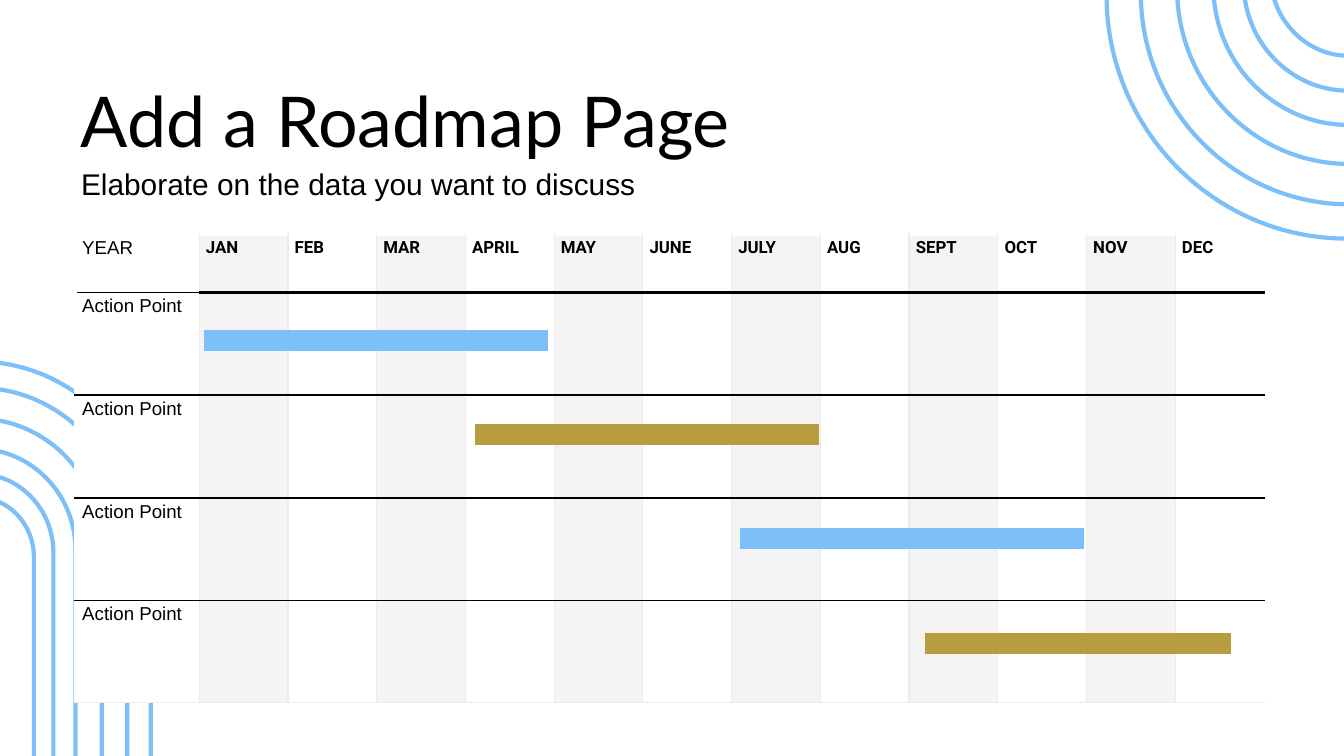
import lxml.etree
import pptx
import pptx.dml.color
import pptx.enum.shapes
import pptx.enum.text
import pptx.oxml.ns
import pptx.util

Pt = pptx.util.Pt
qn = pptx.oxml.ns.qn
BLACK = pptx.dml.color.RGBColor(0x00, 0x00, 0x00)
WHITE = pptx.dml.color.RGBColor(0xFF, 0xFF, 0xFF)
BLUE = pptx.dml.color.RGBColor(0x7D, 0xBF, 0xF8)
GOLD = pptx.dml.color.RGBColor(0xB8, 0x9D, 0x40)
BAND_GREY = pptx.dml.color.RGBColor(0xF4, 0xF4, 0xF4)
GRID_GREY = pptx.dml.color.RGBColor(0xED, 0xEC, 0xED)


def write_text(frame, text, font="Arial", size=20, bold=False, spacing=None):
    para = frame.paragraphs[0]
    if spacing:
        para.line_spacing = spacing
    span = para.add_run()
    span.text = text
    span.font.name = font
    span.font.size = Pt(size)
    span.font.bold = bold
    span.font.color.rgb = BLACK


def add_arch(left, top, width, height, rotation):
    """Draw a straight-sided outline with a round lower end, then turn it."""
    right, bottom, middle = left + width, top + height, left + width / 2
    round_height = width / 2 + 3.4
    shoulder = bottom - round_height
    pull_x, pull_y = 0.55 * width / 2, 0.55 * round_height
    points = [
        (right, top), (right, shoulder),
        (right, shoulder + pull_y), (middle + pull_x, bottom), (middle, bottom),
        (middle - pull_x, bottom), (left, shoulder + pull_y), (left, shoulder),
    ]
    builder = slide.shapes.build_freeform(Pt(left), Pt(top))
    builder.add_line_segments([(Pt(x), Pt(y)) for x, y in points], close=True)
    arch = builder.convert_to_shape()

    # Join the last six points into two quarter-round curves
    segments = list(arch._element.iter(qn("a:lnTo")))[2:8]
    for first in (0, 3):
        curve = lxml.etree.Element(qn("a:cubicBezTo"))
        segments[first].addprevious(curve)
        for segment in segments[first:first + 3]:
            curve.append(segment[0])
            segment.getparent().remove(segment)

    arch.rotation = rotation
    arch.shadow.inherit = False
    arch.fill.background()
    arch.line.color.rgb = BLUE
    arch.line.width = Pt(4.5)


deck = pptx.Presentation()
deck.slide_width = Pt(1440)
deck.slide_height = Pt(810)
slide = deck.slides.add_slide(deck.slide_layouts[6])

# Nested arches at the lower left, behind the table
for left, top, width, height in [
    (-209.2, 387.4, 370.8, 604),
    (-184.7, 415.4, 321.1, 547.2),
    (-156.7, 448.6, 265.7, 481.7),
    (-128.6, 481, 209.5, 416.2),
    (-104.8, 507.6, 162, 362.9),
    (-84.7, 532.8, 121, 311.8),
]:
    add_arch(left, top, width, height, 180)

# Roadmap table
MONTHS = ["JAN", "FEB", "MAR", "APRIL", "MAY", "JUNE",
          "JULY", "AUG", "SEPT", "OCT", "NOV", "DEC"]
row_heights = [61.9, 110.1, 110.1, 110.1, 109.4]
last_row = len(row_heights) - 1
last_column = len(MONTHS)
table = slide.shapes.add_table(len(row_heights), last_column + 1, Pt(80.9), Pt(251.3),
                               Pt(1273.7), Pt(sum(row_heights))).table
table.first_row = False
table.horz_banding = False
for row, height in zip(table.rows, row_heights):
    row.height = Pt(height)
for index, column in enumerate(table.columns):
    column.width = Pt(95.1 if index else 132.5)

for r in range(last_row + 1):
    for c in range(last_column + 1):
        cell = table.cell(r, c)
        if c == 0:
            write_text(cell.text_frame, "Action Point" if r else "YEAR")
        elif r == 0:
            write_text(cell.text_frame, MONTHS[c - 1], font="Roboto", size=18, bold=True)

        # Borders: black between rows, pale grey between months, white outside
        header_rule = 3.03 if c else 1.5
        borders = {
            "lnL": (GRID_GREY, 1.5) if c else (WHITE, 3.03 if r else 1.5),
            "lnR": (WHITE, 3.03) if c == last_column else (GRID_GREY, 1.5),
            "lnT": (BLACK if r else WHITE, header_rule if r < 2 else 2.25),
            "lnB": (BLACK, 2.25 if r else header_rule),
        }
        if r == last_row:
            borders["lnB"] = (GRID_GREY, 1.52)
        properties = cell._tc.get_or_add_tcPr()
        for tag, (color, weight) in borders.items():
            line = lxml.etree.SubElement(properties, qn("a:" + tag), w=str(int(Pt(weight))))
            fill = lxml.etree.SubElement(line, qn("a:solidFill"))
            lxml.etree.SubElement(fill, qn("a:srgbClr"), val=str(color))
        cell.fill.solid()
        cell.fill.fore_color.rgb = BAND_GREY if c % 2 else WHITE

# Schedule bars
for start, end, y, color in [
    (218.2, 586.8, 364.6, BLUE),
    (509, 877.7, 465.1, GOLD),
    (793.4, 1161.4, 576.7, BLUE),
    (990.7, 1319, 689, GOLD),
]:
    bar = slide.shapes.add_connector(pptx.enum.shapes.MSO_CONNECTOR.STRAIGHT,
                                     Pt(start), Pt(y), Pt(end), Pt(y))
    bar.line.color.rgb = color
    bar.line.width = Pt(22.5)
    lxml.etree.SubElement(bar._element.spPr, qn("a:effectLst"))

# Title and subtitle
for text, top, width, height, font, size, spacing in [
    ("Add a Roadmap Page", 65.5, 846.7, 90.7, "Lato", 75, 1.2),
    ("Elaborate on the data you want to discuss", 166.3, 763.9, 41, "Arial", 32, 1.3),
]:
    box = slide.shapes.add_textbox(Pt(86.8), Pt(top), Pt(width), Pt(height))
    frame = box.text_frame
    frame.word_wrap = True
    frame.auto_size = pptx.enum.text.MSO_AUTO_SIZE.SHAPE_TO_FIT_TEXT
    frame.margin_left = frame.margin_right = frame.margin_top = frame.margin_bottom = 0
    write_text(frame, text, font=font, size=size, spacing=spacing)

# Nested arches at the upper right
for left, top, width, height in [
    (1185.1, -580.3, 514.1, 835.9),
    (1221.8, -539.3, 445, 758.2),
    (1260.7, -491, 368.6, 666.7),
    (1299.6, -442.8, 290.2, 576.7),
    (1332, -405.4, 224.6, 502.6),
    (1360.8, -372.2, 167.8, 432),
]:
    add_arch(left, top, width, height, 359.8)

deck.save("out.pptx")
